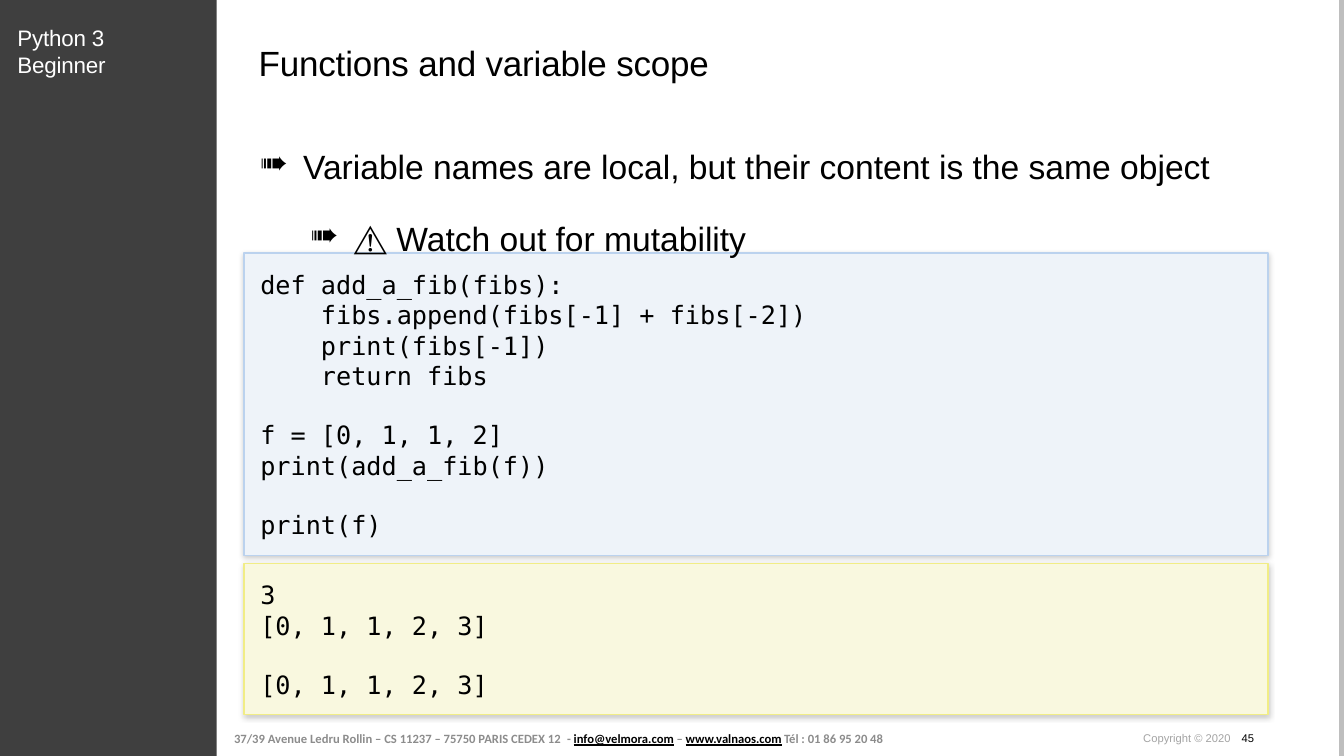
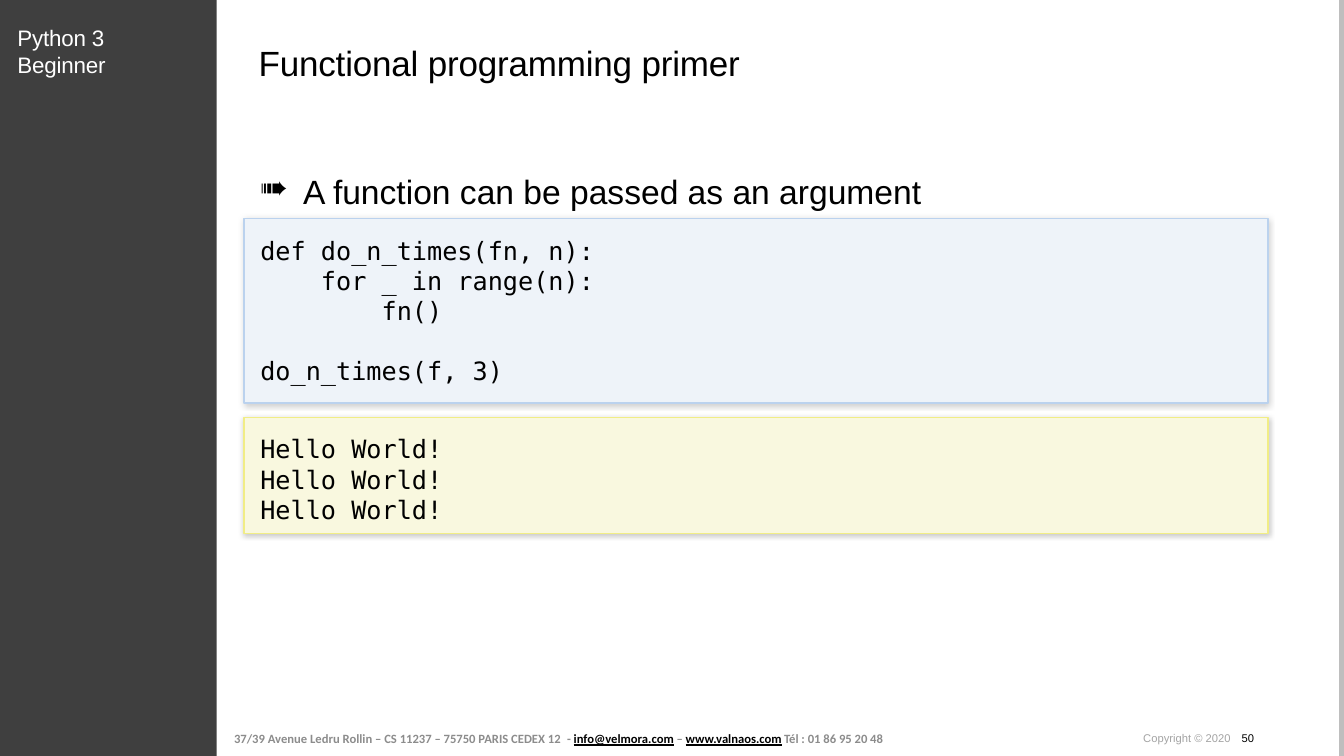
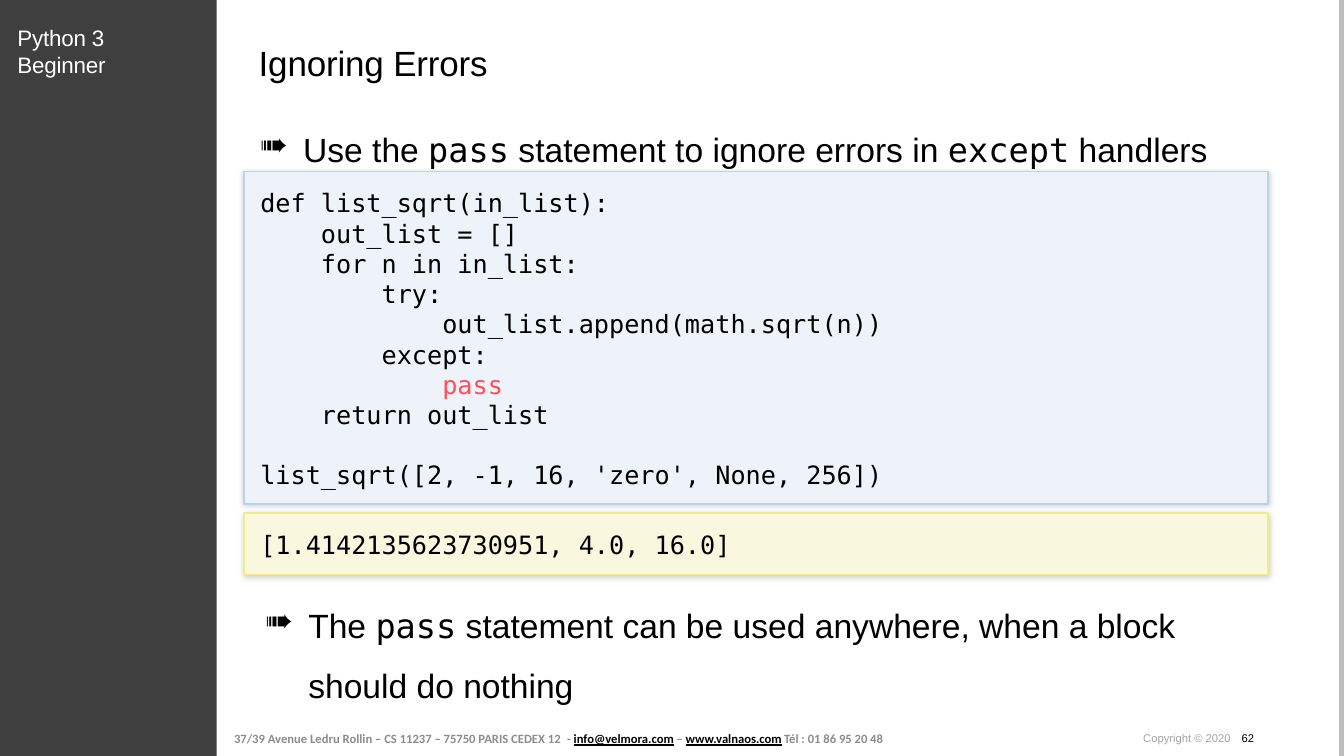
from dataclasses import dataclass

from lxml.etree import SubElement
from pptx import Presentation
from pptx.dml.color import RGBColor
from pptx.enum.shapes import MSO_CONNECTOR, MSO_SHAPE
from pptx.enum.text import MSO_ANCHOR, MSO_AUTO_SIZE, PP_ALIGN
from pptx.oxml.ns import qn
from pptx.util import Cm, Pt


@dataclass(frozen=True)
class Theme:
    sans: str = "Arial"
    mono: str = "DejaVu Sans Mono"
    footer_font: str = "Calibri"
    ink: str = "000000"
    white: str = "FFFFFF"
    band: str = "3F3F3F"
    edge: str = "BEBEBE"
    address: str = "8C8C8C"
    copyright: str = "A4A4A4"
    accent: str = "FF5059"
    code: tuple = ("EEF3F9", "BBD2EE")
    output: tuple = ("F9F8DF", "F1ED86")
    title_size: int = 25
    bullet_size: int = 24
    code_size: int = 18
    course_size: int = 16
    address_size: int = 9
    copyright_size: int = 8
    code_line: int = 21
    tracking: int = -10


THEME = Theme()
WIDTH, HEIGHT = 33.87, 19.05
BAND_WIDTH = 5.46
PANEL_LEFT, PANEL_WIDTH = 6.15, 25.81
BULLET_LEFT, BULLET_WIDTH = 1.95, 30.02


def colour(value):
    return RGBColor.from_string(value)


def add_span(para, text, size, font=THEME.sans, ink=THEME.ink, tracking=0, **extra):
    span = para.add_run()
    span.text = text
    for name, value in {"size": Pt(size), "name": font, **extra}.items():
        setattr(span.font, name, value)
    span.font.color.rgb = colour(ink)
    if tracking:
        span._r.get_or_add_rPr().set("spc", str(tracking))


def set_frame(frame, margins=(0, 0, 0, 0), anchor=MSO_ANCHOR.TOP,
              fit=MSO_AUTO_SIZE.NONE):
    """Apply margins in cm: left, top, right, bottom."""
    sides = ("margin_left", "margin_top", "margin_right", "margin_bottom")
    values = dict(zip(sides, map(Cm, margins)))
    values.update(word_wrap=True, vertical_anchor=anchor, auto_size=fit)
    for name, value in values.items():
        setattr(frame, name, value)
    return frame


def add_text_box(page, box, **frame_format):
    return set_frame(page.shapes.add_textbox(*map(Cm, box)).text_frame, **frame_format)


def set_indent(para, left, first=0):
    properties = para._p.get_or_add_pPr()
    properties.set("marL", str(Cm(left)))
    properties.set("indent", str(Cm(first)))
    return properties


def add_tabs(para, *stops):
    tabs = SubElement(para._p.get_or_add_pPr(), qn("a:tabLst"))
    for stop in stops:
        SubElement(tabs, qn("a:tab"), pos=str(Cm(stop)), algn="l")


def next_para(frame, index):
    return frame.add_paragraph() if index else frame.paragraphs[0]


def add_bands(page):
    edge = page.shapes.add_connector(MSO_CONNECTOR.STRAIGHT, Cm(33.81), 0,
                                     Cm(33.81), Cm(HEIGHT))
    edge.line.color.rgb = colour(THEME.edge)
    edge.line.width = Pt(3.34)
    SubElement(edge._element.spPr, qn("a:effectLst"))
    band = page.shapes.add_shape(MSO_SHAPE.RECTANGLE, 0, 0, Cm(BAND_WIDTH), Cm(HEIGHT))
    band.shadow.inherit = False
    band.fill.solid()
    band.fill.fore_color.rgb = colour(THEME.band)
    band.line.fill.background()
    course = add_text_box(page, (0.41, 0.61, 4.6, 1.37), margins=(0.03, 0, 0.4, 0))
    add_span(course.paragraphs[0], "Python 3 Beginner", THEME.course_size,
             ink=THEME.white, tracking=THEME.tracking)


def add_footer(page, number):
    frame = add_text_box(page, (5.72, 18.21, 16.97, 0.81),
                         margins=(0.18, 0.1, 0.18, 0.1), anchor=MSO_ANCHOR.MIDDLE)
    para = frame.paragraphs[0]
    add_tabs(para, 8.39, 13.86)
    for text, is_link in (
        ("37/39 Avenue Ledru Rollin – CS 11237 – 75750 PARIS CEDEX 12\t- ", False),
        ("info@velmora.com", True),
        (" – ", False),
        ("www.valnaos.com", True),
        ("\tTél : 01 86 95 20 48", False),
    ):
        add_span(para, text, THEME.address_size, THEME.footer_font,
                 THEME.ink if is_link else THEME.address, bold=True, underline=is_link)
    para = add_text_box(page, (28.78, 18.42, 4.37, 0.33),
                        margins=(0.03, 0, 0, 0)).paragraphs[0]
    add_tabs(para, 2.48)
    add_span(para, "Copyright © 2020\t", THEME.copyright_size, ink=THEME.copyright)
    add_span(para, str(number), THEME.copyright_size)


def set_title(page, text):
    title = page.shapes.title
    box = dict(left=2.18, top=1.04, width=29.51, height=1.07)
    for name, value in box.items():
        setattr(title, name, Cm(value))
    para = set_frame(title.text_frame, fit=MSO_AUTO_SIZE.SHAPE_TO_FIT_TEXT).paragraphs[0]
    set_indent(para, 4.34)
    para.alignment = PP_ALIGN.LEFT
    add_span(para, text, THEME.title_size, tracking=THEME.tracking)


def add_bullets(page, top, height, *lines, left=BULLET_LEFT):
    """Write one bullet per level; backticks mark code words."""
    frame = add_text_box(page, (left, top, BULLET_WIDTH, height),
                         fit=MSO_AUTO_SIZE.SHAPE_TO_FIT_TEXT)
    for level, line in enumerate(lines):
        para = next_para(frame, level)
        properties = set_indent(para, 5.69 + 1.27 * level, -1.09)
        SubElement(properties, qn("a:buChar"), char="➠")
        para.level = level
        para.line_spacing = 1.5
        if level:
            para.space_before = Pt(8.1)
        for index, text in enumerate(line.split("`")):
            add_span(para, text, THEME.bullet_size,
                     THEME.mono if index % 2 else THEME.sans)


def add_panel(page, top, height, colours, text):
    """Show code or output; backticks mark accented words, empty lines become gaps."""
    panel = page.shapes.add_shape(MSO_SHAPE.RECTANGLE, Cm(PANEL_LEFT), Cm(top),
                                  Cm(PANEL_WIDTH), Cm(height))
    panel.fill.solid()
    panel.fill.fore_color.rgb, panel.line.color.rgb = map(colour, colours)
    panel.line.width = Pt(1)
    panel.shadow.inherit = False
    effects = panel._element.spPr.find(qn("a:effectLst"))
    shadow = SubElement(effects, qn("a:outerShdw"), blurRad=str(Pt(4)),
                        dist=str(Pt(1)), dir="5400000", rotWithShape="0")
    shade = SubElement(shadow, qn("a:srgbClr"), val=THEME.ink)
    SubElement(shade, qn("a:alpha"), val="20000")

    frame = set_frame(panel.text_frame, margins=(0.41,) * 4)
    for block_index, block in enumerate(text.strip().split("\n\n")):
        for line_index, line in enumerate(block.split("\n")):
            para = next_para(frame, block_index + line_index)
            para.alignment = PP_ALIGN.LEFT
            if block_index and not line_index:
                para.space_before = Pt(THEME.code_line)
            for index, part in enumerate(line.split("`")):
                if part:
                    add_span(para, part, THEME.code_size, THEME.mono,
                             THEME.accent if index % 2 else THEME.ink)


def add_page(deck, title, number):
    page = deck.slides.add_slide(deck.slide_layouts[5])
    add_bands(page)
    add_footer(page, number)
    set_title(page, title)
    return page


def add_scope_page(deck):
    page = add_page(deck, "Functions and variable scope", 45)
    add_panel(page, 14.2, 3.81, THEME.output, """
3
[0, 1, 1, 2, 3]

[0, 1, 1, 2, 3]
""")
    add_panel(page, 6.38, 7.62, THEME.code, """
def add_a_fib(fibs):
    fibs.append(fibs[-1] + fibs[-2])
    print(fibs[-1])
    return fibs

f = [0, 1, 1, 2]
print(add_a_fib(f))

print(f)
""")
    add_bullets(page, 3.18, 3.2,
                "Variable names are local, but their content is the same object",
                "⚠️ Watch out for mutability")


def add_functional_page(deck):
    page = add_page(deck, "Functional programming primer", 50)
    add_bullets(page, 3.81, 1.37, "A function can be passed as an argument")
    add_panel(page, 5.51, 4.65, THEME.code, """
def do_n_times(fn, n):
    for _ in range(n):
        fn()

do_n_times(f, 3)
""")
    add_panel(page, 10.52, 2.92, THEME.output, "\n".join(["Hello World!"] * 3))


def add_errors_page(deck):
    page = add_page(deck, "Ignoring Errors", 62)
    add_bullets(page, 2.74, 1.37,
                "Use the `pass` statement to ignore errors in `except` handlers")
    add_panel(page, 4.32, 8.38, THEME.code, """
def list_sqrt(in_list):
    out_list = []
    for n in in_list:
        try:
            out_list.append(math.sqrt(n))
        except:
            `pass`
    return out_list

list_sqrt([2, -1, 16, 'zero', None, 256])
""")
    add_panel(page, 12.93, 1.55, THEME.output, "[1.4142135623730951, 4.0, 16.0]")
    add_bullets(page, 14.73, 2.9,
                "The `pass` statement can be used anywhere, "
                "when a block should do nothing", left=2.08)


def main():
    deck = Presentation()
    deck.slide_width, deck.slide_height = Cm(WIDTH), Cm(HEIGHT)
    for build in (add_scope_page, add_functional_page, add_errors_page):
        build(deck)
    deck.save("out.pptx")


if __name__ == "__main__":
    main()
